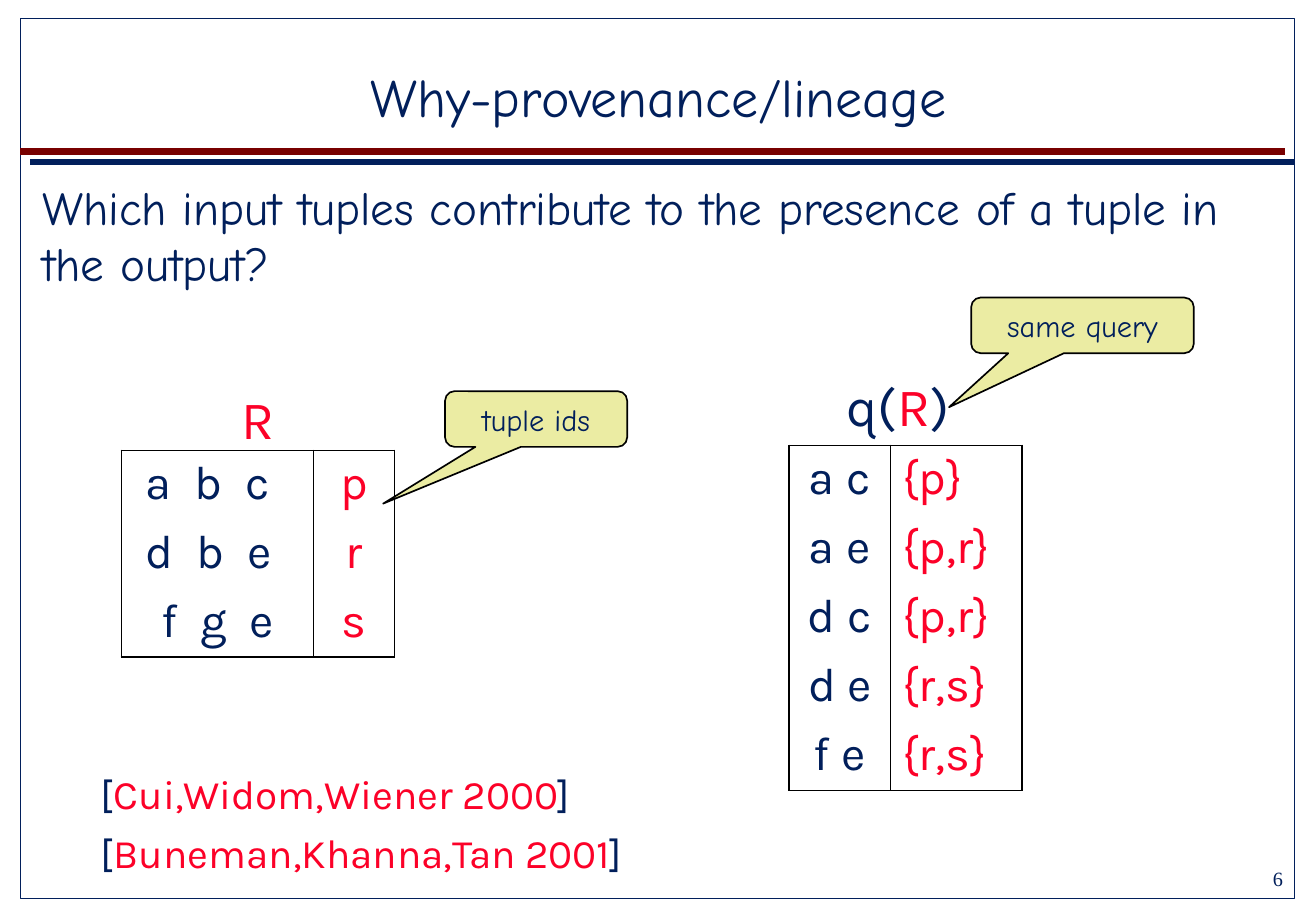
import pptx
import pptx.util
import pptx.dml.color
import pptx.enum.shapes
import pptx.enum.text
import pptx.oxml.ns
from lxml import etree

RGBColor = pptx.dml.color.RGBColor
NAVY = RGBColor(0x01, 0x1F, 0x5B)
RED = RGBColor(0xFC, 0x01, 0x28)
MAROON = RGBColor(0x78, 0x00, 0x00)
CREAM = RGBColor(0xEB, 0xEC, 0xA3)
BLACK = RGBColor(0, 0, 0)
COMIC, KARLA, TIMES = "Comic Neue", "Karla", "Times New Roman"

SHAPE = pptx.enum.shapes.MSO_SHAPE
ALIGN = pptx.enum.text.PP_ALIGN
LEFT, MID, RIGHT = ALIGN.LEFT, ALIGN.CENTER, ALIGN.RIGHT
TOP = pptx.enum.text.MSO_ANCHOR.TOP
CENTER = pptx.enum.text.MSO_ANCHOR.MIDDLE
Pt = pptx.util.Pt
qn = pptx.oxml.ns.qn

deck = pptx.Presentation()
deck.slide_width = pptx.util.Inches(10.84)
deck.slide_height = pptx.util.Inches(7.5)
slide = deck.slides.add_slide(deck.slide_layouts[6])
shapes = slide.shapes


def grid(*units):
    """Grid of 90 rows down the slide, with square cells."""
    return [round(unit * deck.slide_height / 90) for unit in units]


def write(para, parts, size, font, align):
    """Fill a paragraph with (text, colour) runs."""
    para.alignment = align
    for text, color in parts:
        run = para.add_run()
        run.text = text
        run.font.size = Pt(size)
        run.font.name = font
        run.font.color.rgb = color


# Frame and the double rule under the title
frame = shapes.add_shape(SHAPE.RECTANGLE, *grid(2, 1.8, 126, 87))
frame.shadow.inherit = False
frame.fill.background()
frame.line.color.rgb = NAVY
frame.line.width = Pt(0.5)
for start, end, row, color in [(3, 128, 16, NAVY), (2, 127, 15, MAROON)]:
    rule = shapes.add_connector(
        pptx.enum.shapes.MSO_CONNECTOR.STRAIGHT, *grid(start, row, end, row))
    rule.line.color.rgb = color
    rule.line.width = Pt(4)
    etree.SubElement(rule._element.spPr, qn("a:effectLst"))

# Title, question, table headings, sources and page number
texts = [
    ((2.3, 5, 125.6, 9), [[("Why-provenance/lineage", NAVY)]],
     32, COMIC, MID, CENTER),
    ((3, 17, 120, 12.5),
     [[("Which input tuples contribute to the presence of a tuple in the output?",
        NAVY)]], 28, COMIC, LEFT, TOP),
    ((16, 37.5, 19, 7.5), [[("R", RED)]], 32, KARLA, MID, TOP),
    ((74.4, 36.2, 28.7, 7.7),
     [[("q(", NAVY), ("R", RED), (")", NAVY)]], 32, KARLA, MID, TOP),
    ((8.8, 75.4, 57, 11.7),
     [[("[", NAVY), (source, RED), ("]", NAVY)] for source in
      ("Cui,Widom,Wiener 2000", "Buneman,Khanna,Tan 2001")],
     24, KARLA, LEFT, TOP),
    ((123, 85, 5, 3.6), [[("6", NAVY)]], 12, TIMES, RIGHT, TOP),
]
for place, lines, size, font, align, anchor in texts:
    frame = shapes.add_textbox(*grid(*place)).text_frame
    frame.word_wrap = True
    frame.vertical_anchor = anchor
    for i, parts in enumerate(lines):
        para = frame.add_paragraph() if i else frame.paragraphs[0]
        if i:
            para.space_before = Pt(6)
        write(para, parts, size, font, align)

# Tables: place, column widths, row height, column alignments, rows
tables = [
    ((12, 44.5), (19, 8), 6.8, (LEFT, MID),
     [("a b c", "p"), ("d b e", "r"), ("f g e", "s")]),
    ((78, 44), (10, 13), 6.82, (MID, LEFT),
     [("a c", "{p}"), ("a e", "{p,r}"), ("d c", "{p,r}"),
      ("d e", "{r,s}"), ("f e", "{r,s}")]),
]
for place, widths, height, aligns, rows in tables:
    last = len(rows) - 1
    table = shapes.add_table(
        len(rows), 2, *grid(*place, sum(widths), height * len(rows))).table
    table.first_row = table.horz_banding = False
    for col, width in zip(table.columns, grid(*widths)):
        col.width = width
    for r, row in enumerate(rows):
        table.rows[r].height = grid(height)[0]
        for c, text in enumerate(row):
            cell = table.cell(r, c)
            align = aligns[c]
            if text == "f g e":
                align = MID
            elif len(text) == 5 and c == 0:
                cell.margin_left = pptx.util.Inches(0.2)
            # Wide gaps between the three attributes of R
            wide = c == 0 and len(text) == 5
            parts = list(text) if wide else [text]
            para = cell.text_frame.paragraphs[0]
            write(para, [(part, (NAVY, RED)[c]) for part in parts],
                  28, KARLA, align)
            for run in para.runs:
                if run.text == " ":
                    run.font._element.set("spc", "700")
            # Outer box and one line between the columns
            edges = {"L": (1.08, 0.45)[c], "R": (0.45, 1.08)[c],
                     "T": 1.08 if r == 0 else 0,
                     "B": 1.08 if r == last else 0}
            props = cell._tc.get_or_add_tcPr()
            for side, weight in edges.items():
                edge = etree.SubElement(
                    props, qn("a:ln" + side), w=str(Pt(weight)))
                if weight:
                    fill = etree.SubElement(edge, qn("a:solidFill"))
                    etree.SubElement(fill, qn("a:srgbClr"), val=str(BLACK))
                else:
                    etree.SubElement(edge, qn("a:noFill"))
            cell.fill.background()

# Callouts
callouts = [
    ("tuple ids", (44, 38.65, 18, 5.5), (-0.84, 1.52, 0.17)),
    ("same query", (96, 29.4, 22, 5.5), (-0.6, 1.47, 0.17)),
]
for text, place, bends in callouts:
    note = shapes.add_shape(SHAPE.ROUNDED_RECTANGULAR_CALLOUT, *grid(*place))
    note.shadow.inherit = False
    note.fill.solid()
    note.fill.fore_color.rgb = CREAM
    note.line.color.rgb = BLACK
    note.line.width = Pt(1)
    for i, bend in enumerate(bends):
        note.adjustments[i] = bend
    note.text_frame.vertical_anchor = CENTER
    write(note.text_frame.paragraphs[0], [(text, NAVY)], 18, COMIC, MID)

deck.save("out.pptx")
